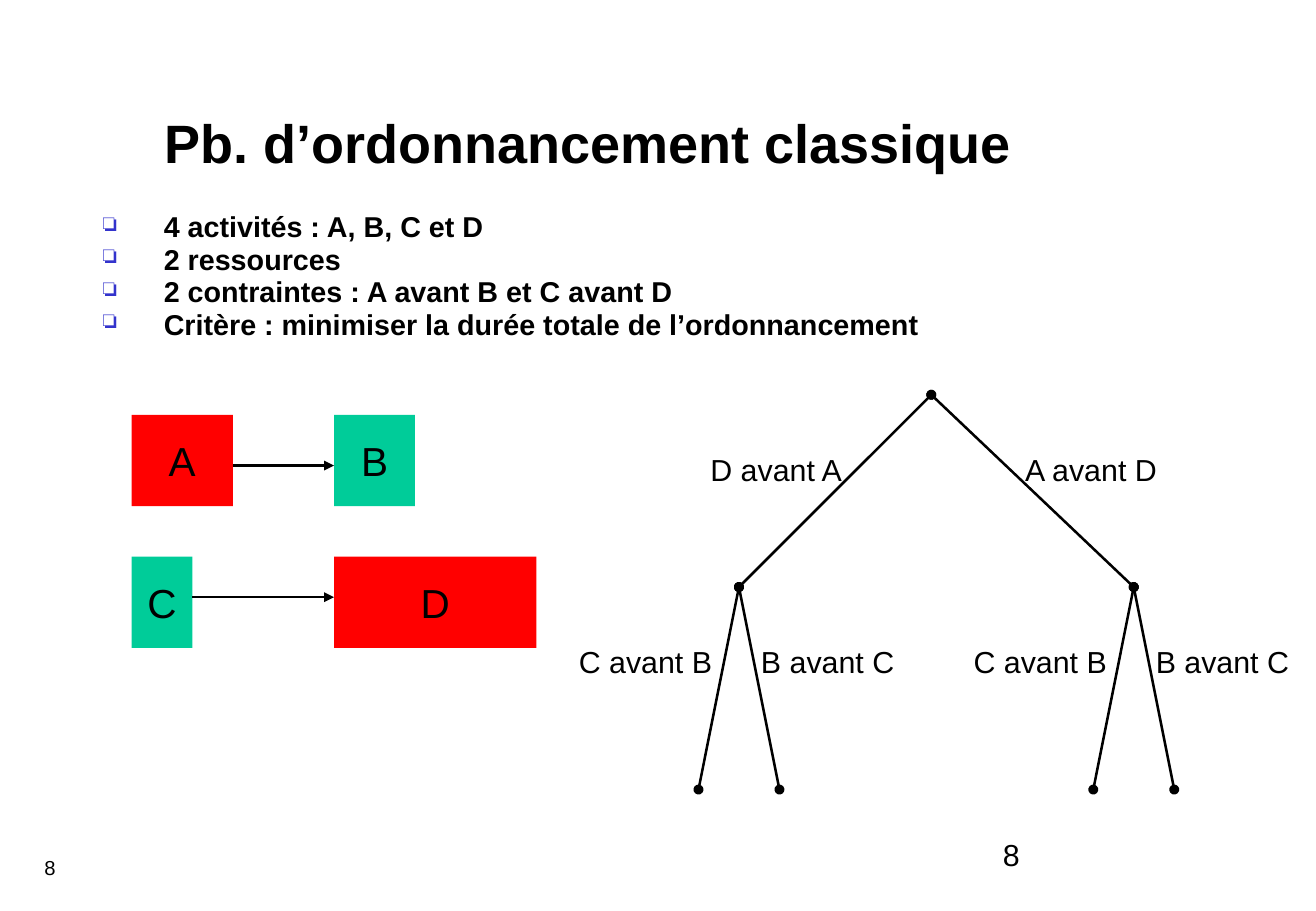
from pptx import Presentation
from pptx.dml.color import RGBColor
from pptx.enum.shapes import MSO_CONNECTOR, MSO_SHAPE
from pptx.enum.text import MSO_ANCHOR, PP_ALIGN
from pptx.oxml.ns import qn
from pptx.util import Pt
from lxml import etree

PX = 7620  # 120 px to the inch
LEFT, CENTER = PP_ALIGN.LEFT, PP_ALIGN.CENTER
TOP, MIDDLE = MSO_ANCHOR.TOP, MSO_ANCHOR.MIDDLE
RECTANGLE = MSO_SHAPE.RECTANGLE
STRAIGHT = MSO_CONNECTOR.STRAIGHT
BLACK, RED, GREEN, BULLET_BLUE = "000000", "FF0000", "00CC99", "3333CC"
LABEL_WIDTH, LABEL_HEIGHT = 156, 48
TASK_HEIGHT = 90


def px(*lengths):
    return [length * PX for length in lengths]


def color(hex_text):
    return RGBColor.from_string(hex_text)


def write(shape, lines, size, bold=False, align=LEFT, anchor=TOP, wrap=True):
    """Fill a shape with one paragraph per line and format it."""
    frame = shape.text_frame
    frame.text = "\n".join(lines)
    frame.word_wrap = wrap
    frame.vertical_anchor = anchor
    for para in frame.paragraphs:
        para.alignment = align
        for span in para.runs:
            span.font.name = "Arial"
            span.font.size = Pt(size)
            span.font.bold = bold
            span.font.color.rgb = color(BLACK)


def add_text(page, box, lines, size, **style):
    shape = page.shapes.add_textbox(*px(*box))
    write(shape, lines, size, **style)
    return shape


def add_title(page, box, text):
    title = page.shapes.title
    title.left, title.top, title.width, title.height = px(*box)
    write(title, [text], 32, bold=True, anchor=MIDDLE)


def add_bullets(page, box, lines):
    body = add_text(page, box, lines, 17, bold=True)
    for para in body.text_frame.paragraphs:
        para.line_spacing = 0.7
        para.space_after = Pt(5)
        properties = para._p.get_or_add_pPr()
        properties.set("marL", str(60 * PX))
        properties.set("indent", str(-60 * PX))
        bullet_color = etree.SubElement(properties, qn("a:buClr"))
        etree.SubElement(bullet_color, qn("a:srgbClr"), val=BULLET_BLUE)
        etree.SubElement(properties, qn("a:buSzPct"), val="85000")
        etree.SubElement(properties, qn("a:buChar"), char="❏")


def add_line(page, start, end, **ends):
    """Draw a line; headEnd and tailEnd name the marks at start and end."""
    line = page.shapes.add_connector(STRAIGHT, *px(*start, *end))
    line.line.color.rgb = color(BLACK)
    line.line.width = Pt(1.5)
    outline = line.line._get_or_add_ln()
    for tag, mark in ends.items():
        etree.SubElement(outline, qn("a:" + tag), type=mark)
    etree.SubElement(line._element.spPr, qn("a:effectLst"))


def add_task(page, box, name, fill):
    task = page.shapes.add_shape(RECTANGLE, *px(*box))
    task.shadow.inherit = False
    task.fill.solid()
    task.fill.fore_color.rgb = color(fill)
    task.line.fill.background()
    write(task, [name], 24, align=CENTER, anchor=MIDDLE, wrap=False)


def add_task_pair(page, left, top, first, second, arrow_drop):
    """Two tasks (name, width, fill) joined by a precedence arrow."""
    second_left = left + 200
    for task_left, (name, width, fill) in ((left, first), (second_left, second)):
        add_task(page, (task_left, top, width, TASK_HEIGHT), name, fill)
    arrow_y = top + arrow_drop
    add_line(page, (left + first[1], arrow_y), (second_left, arrow_y),
             tailEnd="triangle")


def add_branches(page, node, branches):
    """Branches from a node: label, label offset and end offset."""
    x, y = node
    for label, (label_x, label_y), (end_x, end_y) in branches:
        add_line(page, node, (x + end_x, y + end_y), headEnd="oval", tailEnd="oval")
        box = (x + label_x, y + label_y, LABEL_WIDTH, LABEL_HEIGHT)
        add_text(page, box, [label], 18, wrap=False)


def add_decision_tree(page, left, top):
    root = (left + 360, top)
    add_branches(page, root, [
        ("A avant D", (81, 50), (200, 190)),
        ("D avant A", (-230, 50), (-190, 190)),
    ])
    for node_x in (left + 170, left + 560):
        add_branches(page, (node_x, top + 190), [
            ("B avant C", (10, 50), (40, 200)),
            ("C avant B", (-170, 50), (-40, 200)),
        ])


def main():
    deck = Presentation()
    deck.slide_width, deck.slide_height = px(1300, 900)
    page = deck.slides.add_slide(deck.slide_layouts[5])
    add_title(page, (151, 90, 996, 100), "Pb. d’ordonnancement classique")
    add_bullets(page, (90, 210, 970, 130), [
        "4 activités : A, B, C et D",
        "2 ressources",
        "2 contraintes : A avant B et C avant D",
        "Critère : minimiser la durée totale de l’ordonnancement",
    ])
    add_task_pair(page, 130, 410, ("A", 100, RED), ("B", 80, GREEN), 50)
    add_task_pair(page, 130, 550, ("C", 60, GREEN), ("D", 200, RED), 40)
    add_decision_tree(page, 560, 390)
    add_text(page, (32, 839, 29, 40), ["8"], 12, align=CENTER, wrap=False)
    add_text(page, (979, 820, 271, 60), ["8"], 18)
    deck.save("out.pptx")


if __name__ == "__main__":
    main()
